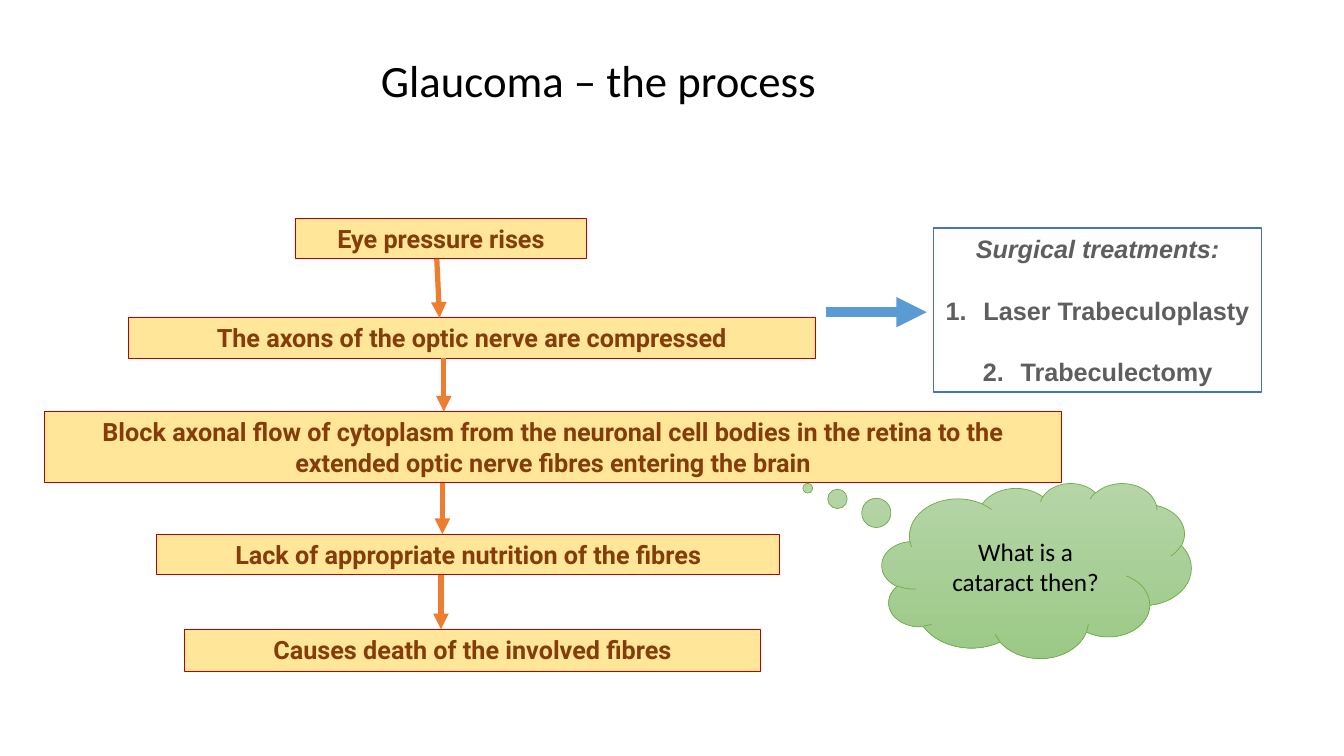
from lxml import etree
from pptx import Presentation
from pptx.dml.color import RGBColor
from pptx.enum.shapes import MSO_CONNECTOR, MSO_SHAPE
from pptx.enum.text import MSO_ANCHOR, PP_ALIGN
from pptx.oxml.ns import qn
from pptx.util import Pt

RECT, CLOUD = MSO_SHAPE.RECTANGLE, MSO_SHAPE.CLOUD_CALLOUT
LINE = MSO_CONNECTOR.STRAIGHT
TOP, MIDDLE = MSO_ANCHOR.TOP, MSO_ANCHOR.MIDDLE
LEFT, CENTER = PP_ALIGN.LEFT, PP_ALIGN.CENTER

TITLE = "Glaucoma – the process"
STAGES = [
    ("Eye pressure rises", (211, 156, 208, 29)),
    ("The axons of the optic nerve are compressed", (91.5, 227, 491, 29)),
    ("Block axonal flow of cytoplasm from the neuronal cell bodies in the retina "
     "to the extended optic nerve fibres entering the brain", (32, 294, 726, 51)),
    ("Lack of appropriate nutrition of the fibres", (112, 381.5, 445, 29)),
    ("Causes death of the involved fibres", (132, 449.5, 411, 30)),
]
ARROW_X = [(312, 314), (317, 317), (316, 316), (315, 315)]
TREATMENT_HEAD = "Surgical treatments:"
TREATMENTS = ["Laser Trabeculoplasty", "Trabeculectomy"]
QUESTION = "What is a cataract then?"

TITLE_FONT = {"name": "Calibri", "size": Pt(32), "color": "000000"}
STAGE_FONT = {"name": "Roboto", "size": Pt(18), "bold": True, "color": "843C0B"}
LIST_FONT = {"name": "Arial", "size": Pt(18), "bold": True, "color": "5E5E5E"}
HEAD_FONT = {**LIST_FONT, "italic": True}
QUESTION_FONT = {"name": "Calibri", "size": Pt(18), "color": "000000"}


def rgb(value):
    return RGBColor.from_string(value)


def write(p, text, font, align=CENTER):
    p.alignment = align
    r = p.add_run()
    r.text = text
    for key, value in font.items():
        if key == "color":
            r.font.color.rgb = rgb(value)
        else:
            setattr(r.font, key, value)


def add_box(s, kind, at, line, width, fill=None, anchor=TOP):
    sp = s.shapes.add_shape(kind, *map(Pt, at))
    sp.shadow.inherit = False
    if fill:
        sp.fill.solid()
        sp.fill.fore_color.rgb = rgb(fill)
    sp.line.color.rgb = rgb(line)
    sp.line.width = Pt(width)
    tf = sp.text_frame
    tf.word_wrap = True
    tf.vertical_anchor = anchor
    return sp


def add_arrow(s, x1, y1, x2, y2, color, width):
    c = s.shapes.add_connector(LINE, Pt(x1), Pt(y1), Pt(x2), Pt(y2))
    c.line.color.rgb = rgb(color)
    c.line.width = Pt(width)
    etree.SubElement(c.line._get_or_add_ln(), qn("a:tailEnd"), type="triangle")
    etree.SubElement(c._element.spPr, qn("a:effectLst"))


def number(p, indent):
    pPr = p._p.get_or_add_pPr()
    pPr.set("marL", str(indent))
    pPr.set("indent", str(-indent))
    etree.SubElement(pPr, qn("a:buFont"), typeface="+mj-lt")
    etree.SubElement(pPr, qn("a:buAutoNum"), type="arabicPeriod")


def main():
    prs = Presentation()
    prs.slide_width, prs.slide_height = Pt(960), Pt(540)
    s = prs.slides.add_slide(prs.slide_layouts[6])

    for text, at in STAGES:
        sp = add_box(s, RECT, at, "C00000", 0.75, "FFE699")
        write(sp.text_frame.paragraphs[0], text, STAGE_FONT)

    for (_, upper), (_, lower), (x1, x2) in zip(STAGES, STAGES[1:], ARROW_X):
        add_arrow(s, x1, upper[1] + upper[3], x2, lower[1], "ED7D31", 3.75)

    title = s.shapes.add_textbox(Pt(265), Pt(34), Pt(335.5), Pt(46))
    title.text_frame.word_wrap = True
    write(title.text_frame.paragraphs[0], TITLE, TITLE_FONT, LEFT)

    tf = add_box(s, RECT, (667, 163, 234, 117), "4472C4", 1, "FFFFFF").text_frame
    tf.word_wrap = False
    write(tf.paragraphs[0], TREATMENT_HEAD, HEAD_FONT)
    for treatment in TREATMENTS:
        p = tf.add_paragraph()
        p.space_before = Pt(22.5)
        number(p, Pt(27))
        write(p, treatment, LIST_FONT)

    cloud = add_box(s, CLOUD, (630, 345, 221, 125), "70AD47", 0.5, anchor=MIDDLE)
    cloud.adjustments[0], cloud.adjustments[1] = -0.74, -0.47
    cloud.fill.gradient()
    cloud.fill.gradient_angle = 270
    for stop, color in zip(cloud.fill.gradient_stops, ("B5D5A7", "9CC987")):
        stop.color.rgb = rgb(color)
    write(cloud.text_frame.paragraphs[0], QUESTION, QUESTION_FONT)

    add_arrow(s, 590, 223, 662, 223, "5B9BD5", 7.25)
    prs.save("out.pptx")


if __name__ == "__main__":
    main()
